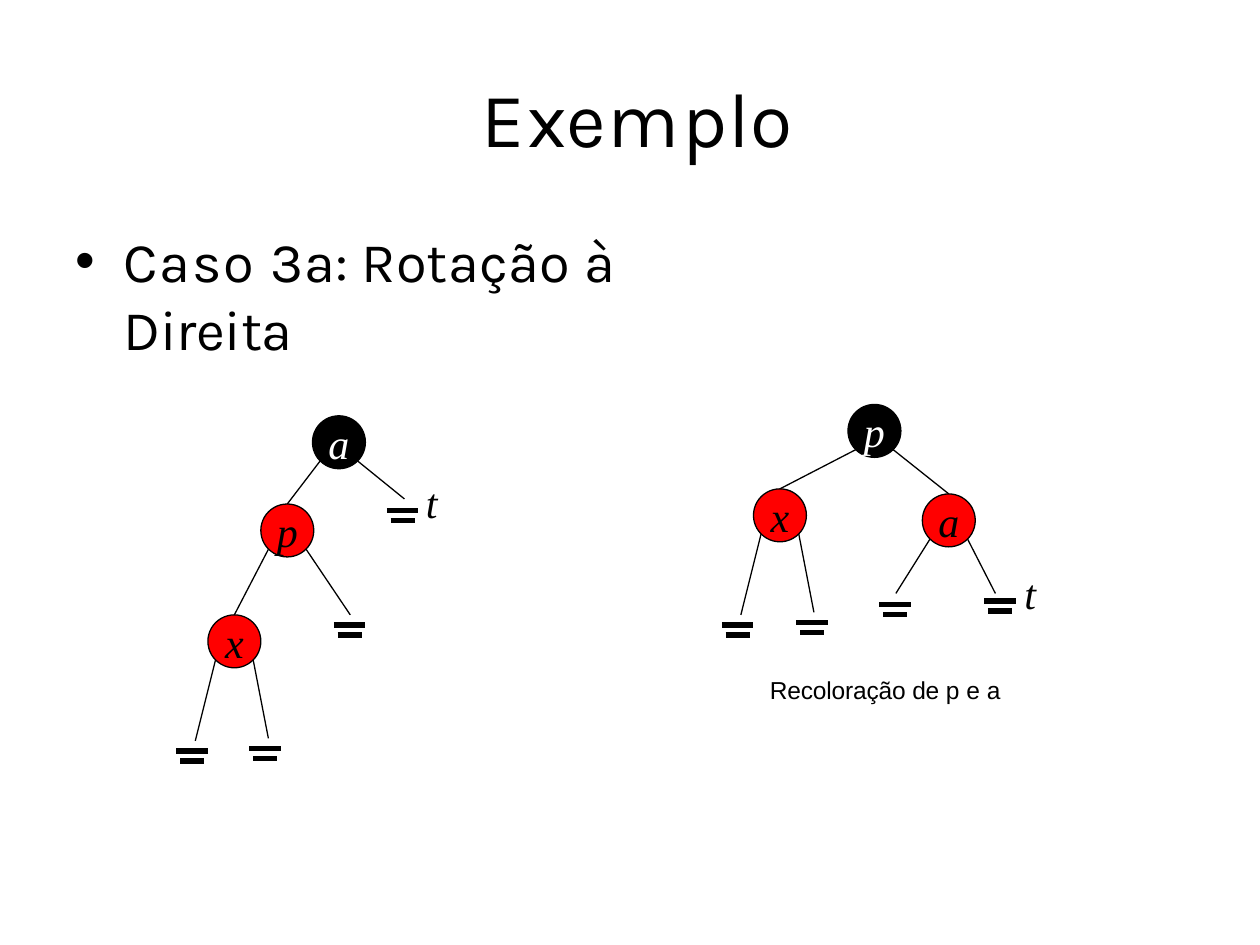
"""Builds a slide showing a right rotation in a red-black tree."""
from lxml.etree import SubElement
from pptx import Presentation
from pptx.dml.color import RGBColor
from pptx.enum.shapes import MSO_CONNECTOR, MSO_SHAPE
from pptx.enum.text import MSO_ANCHOR, MSO_AUTO_SIZE, PP_ALIGN
from pptx.oxml.ns import qn
from pptx.util import Inches, Pt

BLACK = RGBColor(0x00, 0x00, 0x00)
RED = RGBColor(0xFF, 0x00, 0x00)
WHITE = RGBColor(0xFF, 0xFF, 0xFF)
DIAMETER = 0.42
LEFT, RIGHT = -1, 1

TITLE_RUNS = [("E", 1.4), ("x", -0.1), ("em", 1.1), ("p", 0.8), ("l", -2), ("o", 0.6)]
BODY_RUNS = [("Caso ", 1), ("3a: Rotação ", 0.1), ("à ", 0.8), ("Direita", -0.2)]

TREES = [
    {
        "nodes": {"a": (2.69, 3.3, BLACK), "p": (2.28, 4, RED), "x": (1.86, 4.88, RED)},
        "branches": [("a", LEFT, "p"), ("p", LEFT, "x")],
        "leaves": [
            ("a", RIGHT, (3.21, 3.96), (3.07, 4.05)),
            ("p", RIGHT, (2.78, 4.88), (2.65, 4.96)),
            ("x", LEFT, (1.55, 5.88), (1.4, 5.96)),
            ("x", RIGHT, (2.13, 5.86), (1.98, 5.94)),
        ],
        "label": (3.38, 3.78),
    },
    {
        "nodes": {"p": (6.94, 3.21, BLACK), "x": (6.19, 3.88, RED), "a": (7.53, 3.92, RED)},
        "branches": [("p", LEFT, "x"), ("p", RIGHT, "a")],
        "leaves": [
            ("x", LEFT, (5.88, 4.88), (5.73, 4.96)),
            ("x", RIGHT, (6.46, 4.86), (6.32, 4.94)),
            ("a", LEFT, (7.11, 4.71), (6.98, 4.8)),
            ("a", RIGHT, (7.9, 4.71), (7.81, 4.77)),
        ],
        "label": (8.13, 4.5),
    },
]


class TreeSlide:
    """Holds the style and the slide being drawn."""

    heading_font = "Karla"
    node_font = "Times New Roman"
    caption_font = "Arial"

    def __init__(self, presentation):
        """Add a title and content slide."""
        self.slide = presentation.slides.add_slide(presentation.slide_layouts[1])

    def fill_text(self, shape, runs, font, size, color=BLACK, italic=False, top=0, wrap=True):
        """Put letter-spaced runs into a shape and return the paragraph."""
        frame = shape.text_frame
        frame.auto_size = MSO_AUTO_SIZE.NONE
        frame.word_wrap = wrap
        frame.vertical_anchor = MSO_ANCHOR.TOP
        frame.margin_left = frame.margin_right = frame.margin_bottom = 0
        frame.margin_top = Inches(top)
        paragraph = frame.paragraphs[0]
        paragraph.alignment = PP_ALIGN.LEFT
        paragraph.space_before = Pt(0)
        for text, spacing in runs:
            run = paragraph.add_run()
            run.text = text
            run.font.name = font
            run.font.size = Pt(size)
            run.font.italic = italic
            run.font.color.rgb = color
            run._r.get_or_add_rPr().set("spc", str(round(spacing * 100)))
        return paragraph

    def placeholder(self, index, box, runs, size, margin, indent=0, top=0):
        """Move and fill a template placeholder."""
        shape = self.slide.placeholders[index]
        shape.left, shape.top, shape.width, shape.height = map(Inches, box)
        paragraph = self.fill_text(shape, runs, self.heading_font, size, top=top)
        properties = paragraph._p.get_or_add_pPr()
        properties.set("marL", str(Inches(margin)))
        properties.set("indent", str(Inches(indent)))

    def text(self, box, runs, font, size, italic=False):
        """Add a text box."""
        shape = self.slide.shapes.add_textbox(*map(Inches, box))
        self.fill_text(shape, runs, font, size, italic=italic, wrap=False)

    def line(self, start, end, width=0.75):
        """Add a straight black line."""
        connector = self.slide.shapes.add_connector(
            MSO_CONNECTOR.STRAIGHT, *map(Inches, (*start, *end)))
        connector.line.color.rgb = BLACK
        connector.line.width = Pt(width)
        SubElement(connector._element.spPr, qn("a:effectLst"))

    def node(self, letter, center, top, fill):
        """Add a round tree node with its letter."""
        shape = self.slide.shapes.add_shape(
            MSO_SHAPE.OVAL, Inches(center - DIAMETER / 2), Inches(top),
            Inches(DIAMETER), Inches(DIAMETER))
        shape.shadow.inherit = False
        shape.fill.solid()
        shape.fill.fore_color.rgb = fill
        shape.line.color.rgb = BLACK
        shape.line.width = Pt(0.75)
        color = WHITE if fill == BLACK else BLACK
        paragraph = self.fill_text(
            shape, [(letter, 0)], self.node_font, 24, color, italic=True, wrap=False)
        paragraph.alignment = PP_ALIGN.CENTER
        shape.text_frame.vertical_anchor = MSO_ANCHOR.MIDDLE

    def branch(self, parent, side, end):
        """Join the lower side of a parent node to a point."""
        center, top, _ = parent
        self.line((center + side * 0.15, top + 0.36), end)

    def leaf(self, left, top):
        """Add the two bars of an empty leaf."""
        self.line((left, top), (left + 0.25, top), 3)
        self.line((left + 0.03, top + 0.08), (left + 0.22, top + 0.08), 3)

    def tree(self, nodes, branches, leaves, label):
        """Draw a whole tree and its leaf label."""
        for parent, side, child in branches:
            self.branch(nodes[parent], side, nodes[child][:2])
        for parent, side, end, bars in leaves:
            self.branch(nodes[parent], side, end)
            self.leaf(*bars)
        for letter, place in nodes.items():
            self.node(letter, *place)
        self.text((*label, 0.12, 0.41), [("t", 0)], self.node_font, 24, italic=True)


def main():
    """Build and save the presentation."""
    presentation = Presentation()
    presentation.slide_width = Inches(10)
    presentation.slide_height = Inches(7.5)
    slide = TreeSlide(presentation)
    slide.placeholder(0, (1.34, -0.07, 7.32, 2.02), TITLE_RUNS, 44, margin=2.48, top=0.63)
    slide.placeholder(1, (0.59, 1.8, 5.71, 1.07), BODY_RUNS, 32, margin=0.39, indent=-0.38)
    for tree in TREES:
        slide.tree(**tree)
    slide.text((6.11, 5.36, 1.88, 0.25), [("Recoloração de ", -0.1), ("p e a", 0)],
               slide.caption_font, 14)
    presentation.save("out.pptx")


if __name__ == "__main__":
    main()
